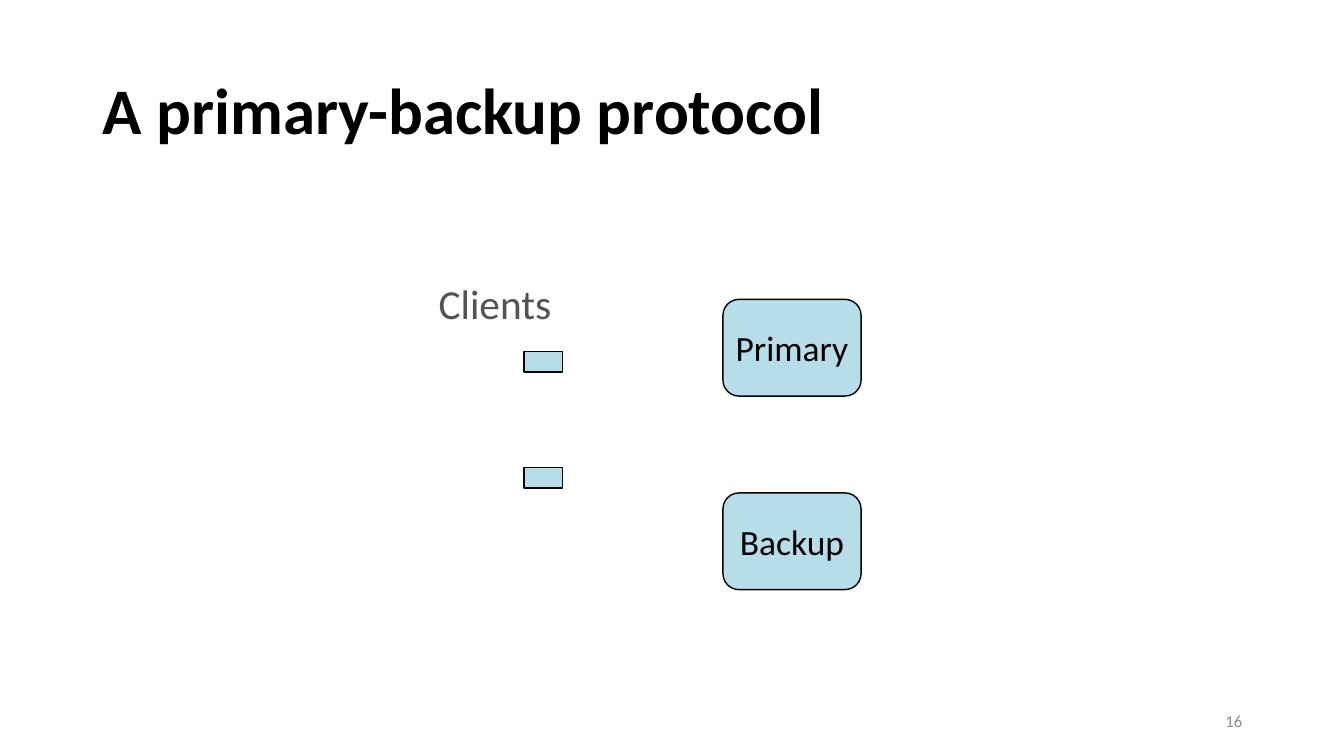
from dataclasses import dataclass

from pptx import Presentation
from pptx.dml.color import RGBColor
from pptx.enum.shapes import MSO_SHAPE
from pptx.enum.text import MSO_ANCHOR, PP_ALIGN
from pptx.util import Inches, Pt

RECT = MSO_SHAPE.RECTANGLE
ROUNDED = MSO_SHAPE.ROUNDED_RECTANGLE
MIDDLE = MSO_ANCHOR.MIDDLE
LEFT, CENTER, RIGHT = PP_ALIGN.LEFT, PP_ALIGN.CENTER, PP_ALIGN.RIGHT


@dataclass(frozen=True)
class Theme:
    font: str = "Calibri"
    ink: str = "000000"
    label: str = "535353"
    muted: str = "8C8C8C"
    node: str = "B7DEE8"
    title_size: float = 46.4
    label_size: float = 29.5
    node_size: float = 25.3
    number_size: float = 12
    outline: float = 1


def write(sp, text, *, font, size, color, bold=False, align=LEFT,
          spacing=None, inset=(0.1, 0.05), wrap=True):
    tf = sp.text_frame
    tf.word_wrap = wrap
    tf.vertical_anchor = MIDDLE
    tf.margin_left = tf.margin_right = Inches(inset[0])
    tf.margin_top = tf.margin_bottom = Inches(inset[1])
    p = tf.paragraphs[0]
    p.alignment = align
    if spacing:
        p.line_spacing = spacing
    r = p.add_run()
    r.text = text
    r.font.name = font
    r.font.size = Pt(size)
    r.font.bold = bold
    r.font.color.rgb = RGBColor.from_string(color)


class Canvas:
    def __init__(self, prs, theme):
        self.theme = theme
        self.width, self.height = prs.slide_width, prs.slide_height
        self.slide = prs.slides.add_slide(prs.slide_layouts[6])

    def place(self, x, y, w, h):
        return (round(x * self.width / 100), round(y * self.height / 100),
                round(w * self.width / 100), round(h * self.height / 100))

    def text(self, box, text, **style):
        sp = self.slide.shapes.add_textbox(*self.place(*box))
        write(sp, text, font=self.theme.font, **style)

    def node(self, kind, box, text=None):
        t = self.theme
        sp = self.slide.shapes.add_shape(kind, *self.place(*box))
        sp.shadow.inherit = False
        sp.fill.solid()
        sp.fill.fore_color.rgb = RGBColor.from_string(t.node)
        sp.line.color.rgb = RGBColor.from_string(t.ink)
        sp.line.width = Pt(t.outline)
        if text:
            write(sp, text, font=t.font, size=t.node_size, color=t.ink,
                  align=CENTER, inset=(0.04, 0.04), wrap=False)


def main():
    prs = Presentation()
    prs.slide_width, prs.slide_height = Inches(13.33), Inches(7.5)
    theme = Theme()
    canvas = Canvas(prs, theme)

    canvas.text((6.9, 5.33, 86.27, 19.33), "A primary-backup protocol",
                size=theme.title_size, color=theme.ink, bold=True, spacing=0.9)
    canvas.text((70.67, 92.67, 22.5, 5.33), "16",
                size=theme.number_size, color=theme.muted, align=RIGHT)
    canvas.text((31.73, 36.27, 10.2, 7.73), "Clients", size=theme.label_size,
                color=theme.label, align=CENTER, inset=(0.04, 0.04))

    for i, server in enumerate(("Primary", "Backup")):
        canvas.node(RECT, (39, 46.53 + 15.33 * i, 2.85, 2.67))
        canvas.node(ROUNDED, (53.79, 39.6 + 25.6 * i, 10.28, 12.8), server)

    prs.save("out.pptx")


if __name__ == "__main__":
    main()
